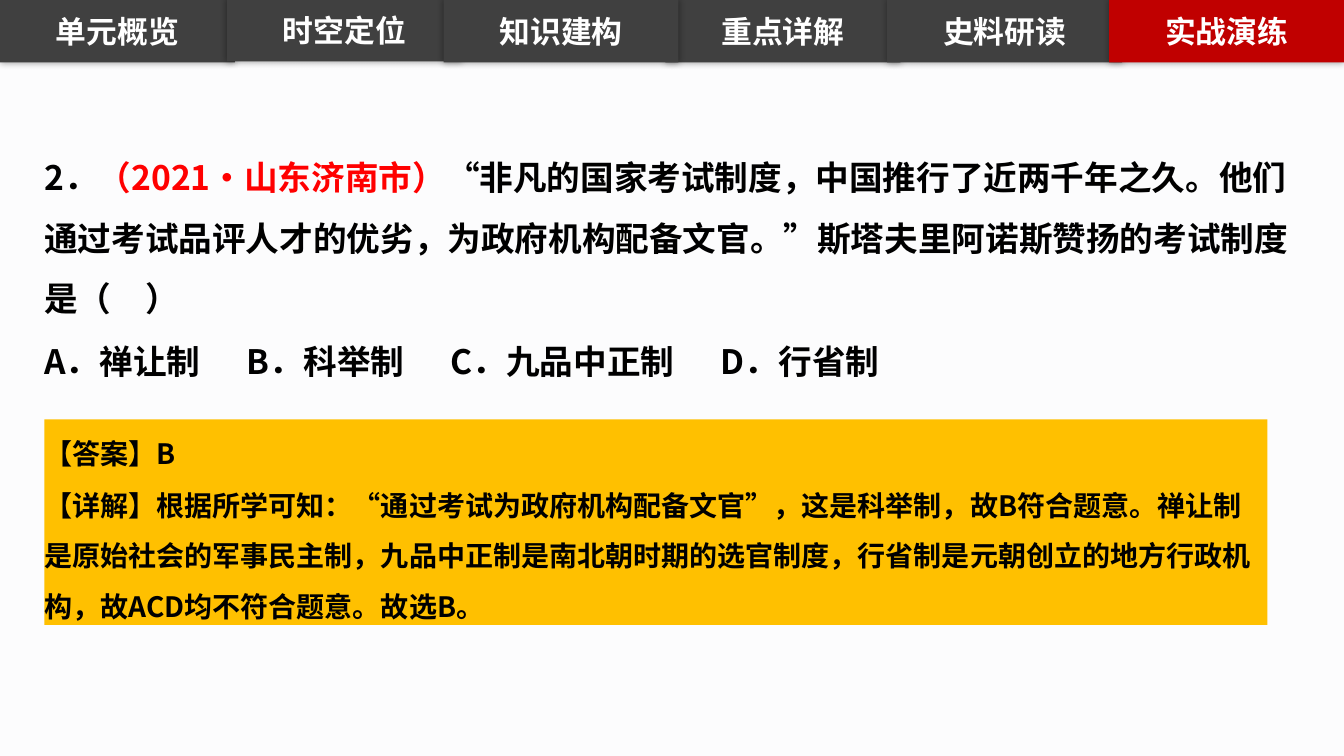
from dataclasses import dataclass

from lxml.etree import SubElement
from pptx import Presentation
from pptx.dml.color import RGBColor
from pptx.enum.shapes import MSO_SHAPE
from pptx.enum.text import MSO_ANCHOR, MSO_AUTO_SIZE, PP_ALIGN
from pptx.oxml.ns import qn
from pptx.util import Inches, Pt


@dataclass(frozen=True)
class Theme:
    font: str = "Noto Sans CJK SC"
    background: str = "FCFCFD"
    tab: str = "404040"
    active_tab: str = "C00000"
    tab_text: str = "FFFFFF"
    text: str = "000000"
    source: str = "FF0000"
    answer: str = "FFC000"
    tab_size: int = 22
    question_size: int = 24
    answer_size: int = 20


THEME = Theme()
TAB_WIDTH, TAB_HEIGHT = 2.33, 0.62
MARGIN = 0.44

# Back to front: label, left, top, fill
TABS = [
    ("重点详解", 6.6, 0, THEME.tab),
    ("史料研读", 8.8, 0, THEME.tab),
    ("实战演练", 11, 0, THEME.active_tab),
    ("单元概览", 0, 0, THEME.tab),
    ("时空定位", 2.25, -0.01, THEME.tab),
    ("知识建构", 4.4, 0, THEME.tab),
]
QUESTION = [
    ("2．", THEME.text),
    ("（2021·山东济南市）", THEME.source),
    ("“非凡的国家考试制度，中国推行了近两千年之久。他们通过考试品评人才的优劣，"
     "为政府机构配备文官。”斯塔夫里阿诺斯赞扬的考试制度是（　）", THEME.text),
]
OPTIONS = ["A．禅让制", "B．科举制", "C．九品中正制", "D．行省制"]
OPTION_STOPS = [2.01, 4.03, 6.71]
ANSWER = "【答案】B"
EXPLANATION = (
    "【详解】根据所学可知：“通过考试为政府机构配备文官”，这是科举制，故B符合题意。"
    "禅让制是原始社会的军事民主制，九品中正制是南北朝时期的选官制度，"
    "行省制是元朝创立的地方行政机构，故ACD均不符合题意。故选B。"
)


def add_span(para, text, size, color):
    span = para.add_run()
    span.text = text
    font = span.font
    font.size, font.bold, font.name = Pt(size), True, THEME.font
    font.color.rgb = RGBColor.from_string(color)
    SubElement(font._element, qn("a:ea"), typeface=THEME.font)


def add_rectangle(page, left, top, width, height, fill):
    box = page.shapes.add_shape(
        MSO_SHAPE.RECTANGLE, Inches(left), Inches(top), Inches(width), Inches(height))
    box.shadow.inherit = False
    box.fill.solid()
    box.fill.fore_color.rgb = RGBColor.from_string(fill)
    box.line.fill.background()
    return box


def add_soft_shadow(box):
    """Give the box an even 5 pt black glow-like shadow at 40 % opacity."""
    effects = box._element.spPr.find(qn("a:effectLst"))
    shadow = SubElement(effects, qn("a:outerShdw"), blurRad=str(Pt(5)), dist="0",
                        dir="0", algn="ctr", rotWithShape="0")
    color = SubElement(shadow, qn("a:srgbClr"), val="000000")
    SubElement(color, qn("a:alpha"), val="40000")


def add_tab(page, label, left, top, fill):
    box = add_rectangle(page, left, top, TAB_WIDTH, TAB_HEIGHT, fill)
    add_soft_shadow(box)
    box.text_frame.vertical_anchor = MSO_ANCHOR.MIDDLE
    para = box.text_frame.paragraphs[0]
    para.alignment = PP_ALIGN.CENTER
    add_span(para, label, THEME.tab_size, THEME.tab_text)


def add_tab_stops(para, positions):
    stops = SubElement(para._p.get_or_add_pPr(), qn("a:tabLst"))
    for position in positions:
        SubElement(stops, qn("a:tab"), pos=str(Inches(position)), algn="l")


def fill_body(box, paragraphs, size):
    """Write two-part body text; each paragraph is a list of (text, color)."""
    frame = box.text_frame
    frame.word_wrap = True
    frame.auto_size = MSO_AUTO_SIZE.SHAPE_TO_FIT_TEXT
    frame.vertical_anchor = MSO_ANCHOR.TOP
    frame.margin_left = frame.margin_right = frame.margin_top = frame.margin_bottom = 0
    for index, spans in enumerate(paragraphs):
        para = frame.add_paragraph() if index else frame.paragraphs[0]
        para.alignment = PP_ALIGN.LEFT
        para.line_spacing = 1.5
        if index:
            para.space_before = Pt(1.4)
        for text, color in spans:
            add_span(para, text, size, color)


def add_question(page):
    box = page.shapes.add_textbox(
        Inches(MARGIN), Inches(1.36), Inches(12.43), Inches(2.44))
    options = [("\t".join(OPTIONS), THEME.text)]
    fill_body(box, [QUESTION, options], THEME.question_size)
    add_tab_stops(box.text_frame.paragraphs[1], OPTION_STOPS)


def add_answer(page):
    box = add_rectangle(page, MARGIN, 4.16, 12.13, 2.04, THEME.answer)
    paragraphs = [[(text, THEME.text)] for text in (ANSWER, EXPLANATION)]
    fill_body(box, paragraphs, THEME.answer_size)


def main():
    deck = Presentation()
    deck.slide_width, deck.slide_height = Inches(13.33), Inches(7.5)
    page = deck.slides.add_slide(deck.slide_layouts[6])
    page.background.fill.solid()
    page.background.fill.fore_color.rgb = RGBColor.from_string(THEME.background)
    for tab in TABS:
        add_tab(page, *tab)
    add_question(page)
    add_answer(page)
    deck.save("out.pptx")


if __name__ == "__main__":
    main()
